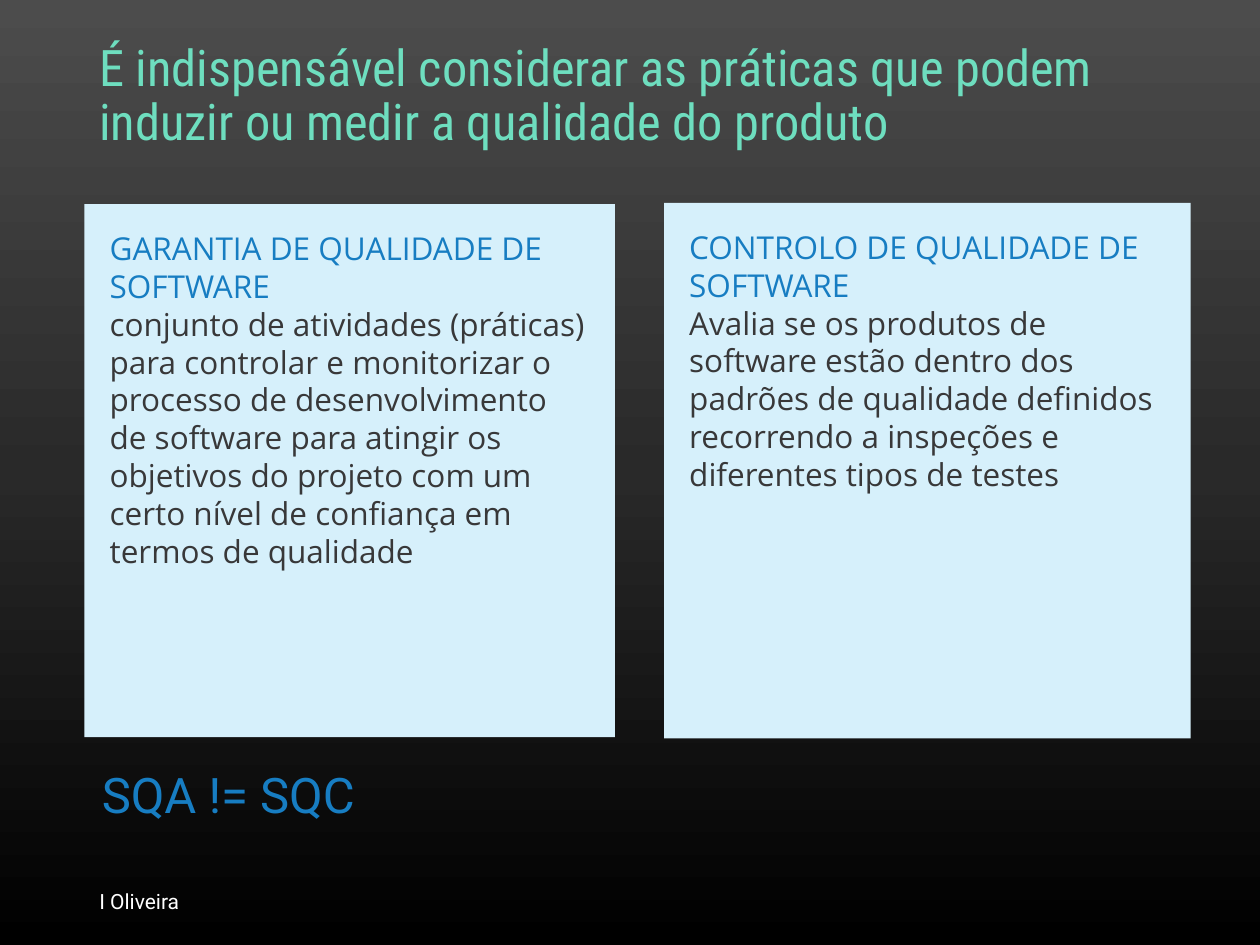
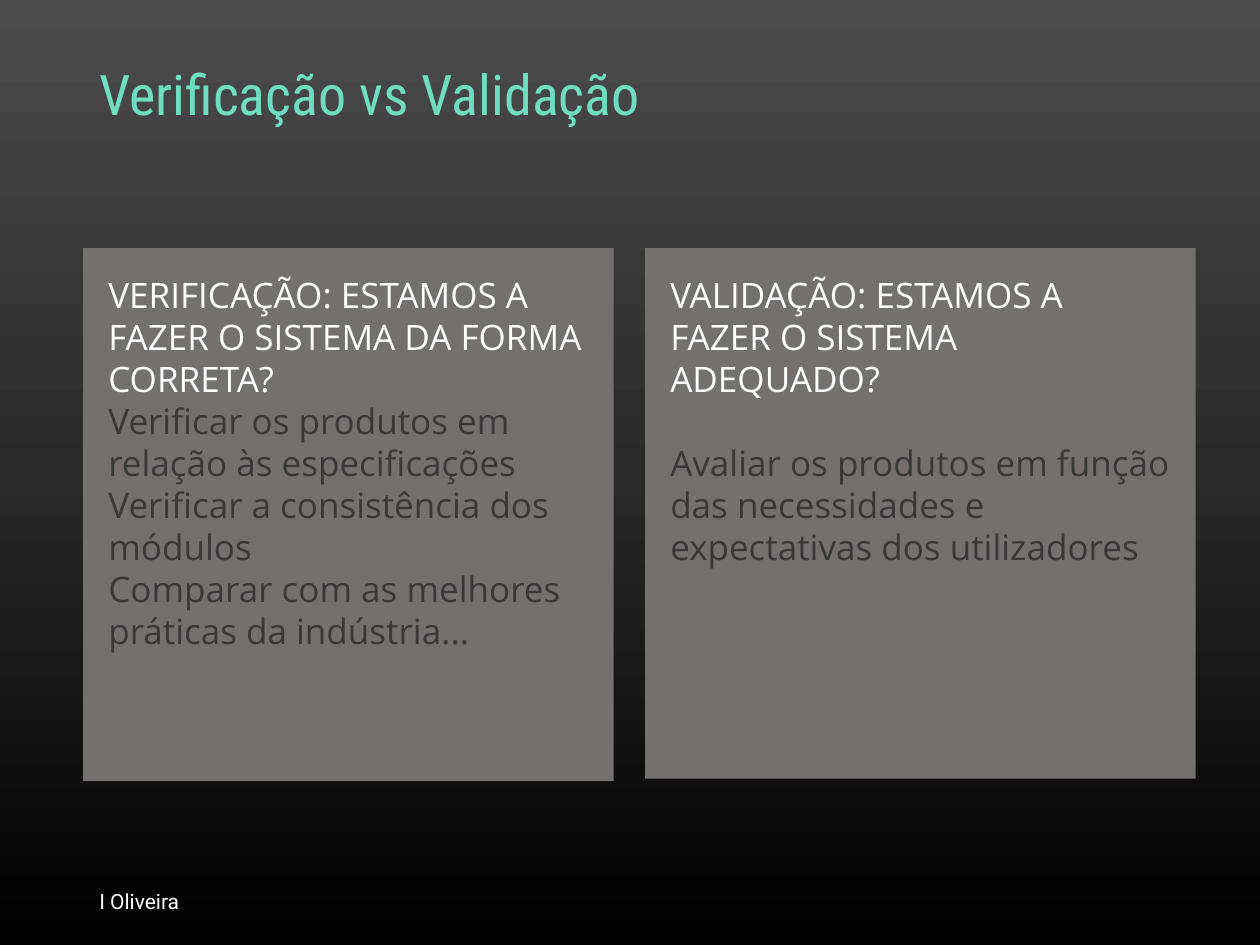
from copy import deepcopy
from dataclasses import dataclass
from typing import Any, Optional

from pptx import Presentation
from pptx import util as u
from pptx.dml.color import RGBColor
from pptx.enum import shapes, text
from pptx.oxml import ns


@dataclass(frozen=True)
class Theme:
    mint: str = "6EDEBF"
    blue: str = "177DC2"
    white: str = "FFFFFF"
    ink: str = "383839"
    pale_blue: str = "D6F0FB"
    grey: str = "757070"
    background: tuple = ((0, "4C4C4C"), (0.5, "292929"), (1, "000000"))
    title_font: str = "Roboto Condensed"
    label_font: str = "Roboto"
    body_font: str = "Open Sans"
    long_title_size: float = 28.8
    title_size: float = 32
    message_size: float = 28
    definition_size: float = 18
    question_size: float = 20
    footer_size: float = 12


THEME = Theme()


@dataclass(frozen=True)
class Box:
    left: float
    top: float
    width: float
    height: float

    def lengths(self) -> list:
        return [u.Inches(n) for n in (self.left, self.top, self.width, self.height)]


@dataclass(frozen=True)
class CardStyle:
    fill: str
    heading: str
    size: float


@dataclass(frozen=True)
class Card:
    box: Box
    heading: str
    body: tuple
    gap: float = 0


@dataclass(frozen=True)
class Page:
    title: str
    title_size: float
    style: CardStyle
    cards: tuple
    message: Optional[str] = None


TITLE_BOX = Box(0.69, 0.4, 8.62, 0.74)
FOOTER_BOX = Box(0.69, 6.95, 6, 0.4)
MESSAGE_BOX = Box(0.71, 5.97, 8.74, 1.02)
FOOTER = "I Oliveira"
DEFINITIONS = CardStyle(THEME.pale_blue, THEME.blue, THEME.definition_size)
QUESTIONS = CardStyle(THEME.grey, THEME.white, THEME.question_size)

PAGES = (
    Page(
        "É indispensável considerar as práticas que podem induzir ou medir a qualidade do produto",
        THEME.long_title_size,
        DEFINITIONS,
        (
            Card(
                Box(0.67, 1.62, 4.21, 4.23),
                "GARANTIA DE QUALIDADE DE SOFTWARE",
                ("conjunto de atividades (práticas) para controlar e monitorizar o processo "
                 "de desenvolvimento de software para atingir os objetivos do projeto com um "
                 "certo nível de confiança em termos de qualidade",),
            ),
            Card(
                Box(5.27, 1.61, 4.18, 4.25),
                "CONTROLO DE QUALIDADE DE SOFTWARE",
                ("Avalia se os produtos de software estão dentro dos padrões de qualidade "
                 "definidos recorrendo a inspeções e diferentes tipos de testes",),
            ),
        ),
        "SQA != SQC",
    ),
    Page(
        "Verificação vs Validação",
        THEME.title_size,
        QUESTIONS,
        (
            Card(
                Box(0.66, 1.97, 4.21, 4.23),
                "VERIFICAÇÃO: ESTAMOS A FAZER O SISTEMA DA FORMA CORRETA?",
                ("Verificar os produtos em relação às especificações",
                 "Verificar a consistência dos módulos",
                 "Comparar com as melhores práticas da indústria..."),
            ),
            Card(
                Box(5.12, 1.97, 4.37, 4.21),
                "VALIDAÇÃO: ESTAMOS A FAZER O SISTEMA ADEQUADO?",
                ("Avaliar os produtos em função das necessidades e expectativas dos utilizadores",),
                gap=24,
            ),
        ),
    ),
)


def apply(target: Any, values: dict) -> None:
    for name, value in values.items():
        setattr(target, name, value)


def write(paragraph: Any, words: str, font: str, size: float, color: str) -> None:
    run = paragraph.add_run()
    run.text = words
    apply(run.font, {"name": font, "size": u.Pt(size)})
    run.font.color.rgb = RGBColor.from_string(color)


def add_label(slide: Any, box: Box, words: str, font: str, size: float, color: str,
              anchor: Any = text.MSO_ANCHOR.MIDDLE, line_spacing: float = 1.0) -> None:
    shape = slide.shapes.add_textbox(*box.lengths())
    apply(shape.text_frame, {"word_wrap": True, "vertical_anchor": anchor})
    paragraph = shape.text_frame.paragraphs[0]
    paragraph.line_spacing = line_spacing
    write(paragraph, words, font, size, color)


def add_card(slide: Any, card: Card, style: CardStyle) -> None:
    shape = slide.shapes.add_shape(shapes.MSO_SHAPE.RECTANGLE, *card.box.lengths())
    shape.shadow.inherit = False
    shape.fill.solid()
    shape.fill.fore_color.rgb = RGBColor.from_string(style.fill)
    shape.line.fill.background()
    frame = shape.text_frame
    apply(frame, {"word_wrap": True, "vertical_anchor": text.MSO_ANCHOR.TOP})
    apply(frame, {f"margin_{side}": u.Inches(0.2) for side in ("left", "top", "right", "bottom")})
    paragraph = frame.paragraphs[0]
    paragraph.alignment = text.PP_ALIGN.LEFT
    write(paragraph, card.heading, THEME.body_font, style.size, style.heading)
    for index, words in enumerate(card.body):
        paragraph = frame.add_paragraph()
        paragraph.alignment = text.PP_ALIGN.LEFT
        if index == 0 and card.gap:
            paragraph.space_before = u.Pt(card.gap)
        write(paragraph, words, THEME.body_font, style.size, THEME.ink)


def paint_background(master: Any) -> None:
    """Give every slide the vertical three-stop gradient through its master."""
    fill = master.background.fill
    fill.gradient()
    fill.gradient_angle = 270
    stop_list = next(master.element.iter(ns.qn("a:gsLst")))
    stop_list.append(deepcopy(stop_list[-1]))
    for stop, (position, color) in zip(fill.gradient_stops, THEME.background):
        stop.position = position
        stop.color.rgb = RGBColor.from_string(color)


def add_page(presentation: Any, page: Page) -> None:
    slide = presentation.slides.add_slide(presentation.slide_layouts[6])
    add_label(slide, TITLE_BOX, page.title, THEME.title_font, page.title_size, THEME.mint,
              line_spacing=0.9)
    add_label(slide, FOOTER_BOX, FOOTER, THEME.label_font, THEME.footer_size, THEME.white)
    if page.message:
        add_label(slide, MESSAGE_BOX, page.message, THEME.label_font, THEME.message_size,
                  THEME.blue, anchor=text.MSO_ANCHOR.TOP, line_spacing=1.1)
    for card in page.cards:
        add_card(slide, card, page.style)


def main() -> None:
    presentation = Presentation()
    apply(presentation, {"slide_width": u.Inches(10), "slide_height": u.Inches(7.5)})
    paint_background(presentation.slide_master)
    for page in PAGES:
        add_page(presentation, page)
    presentation.save("out.pptx")


if __name__ == "__main__":
    main()
